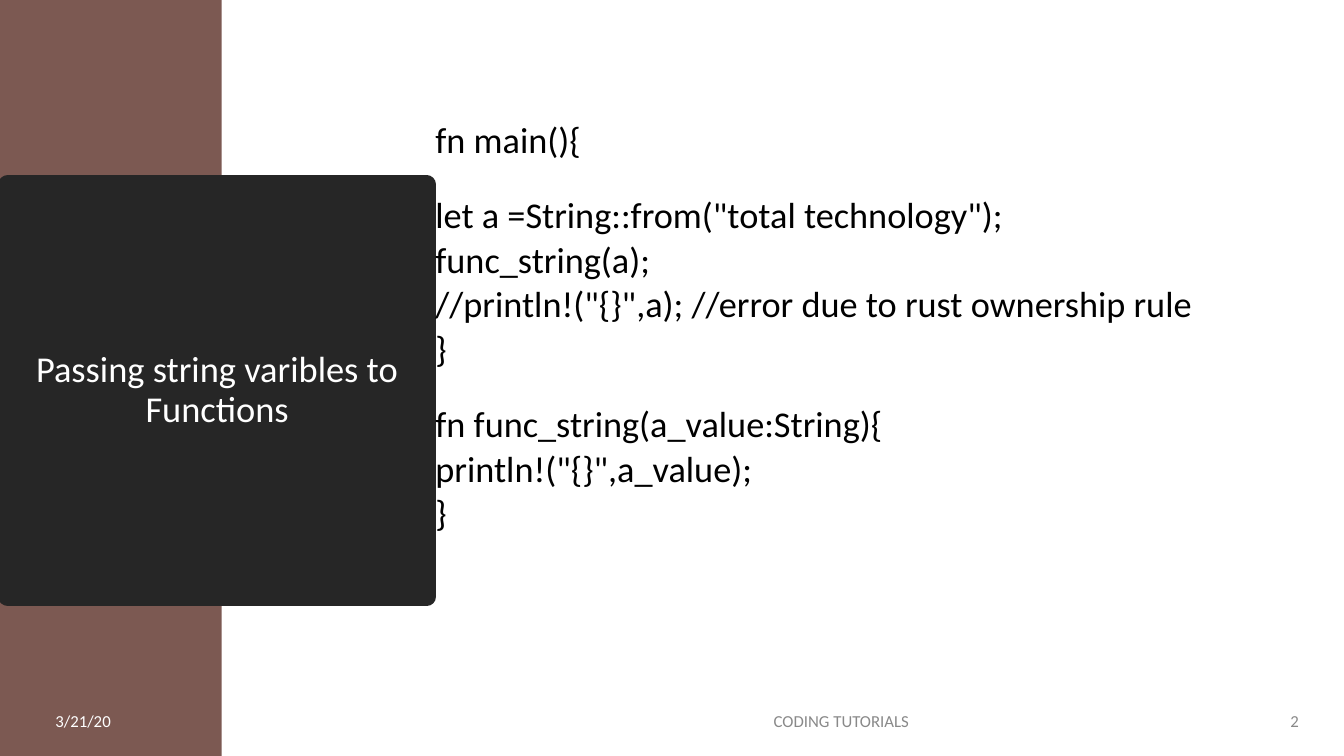
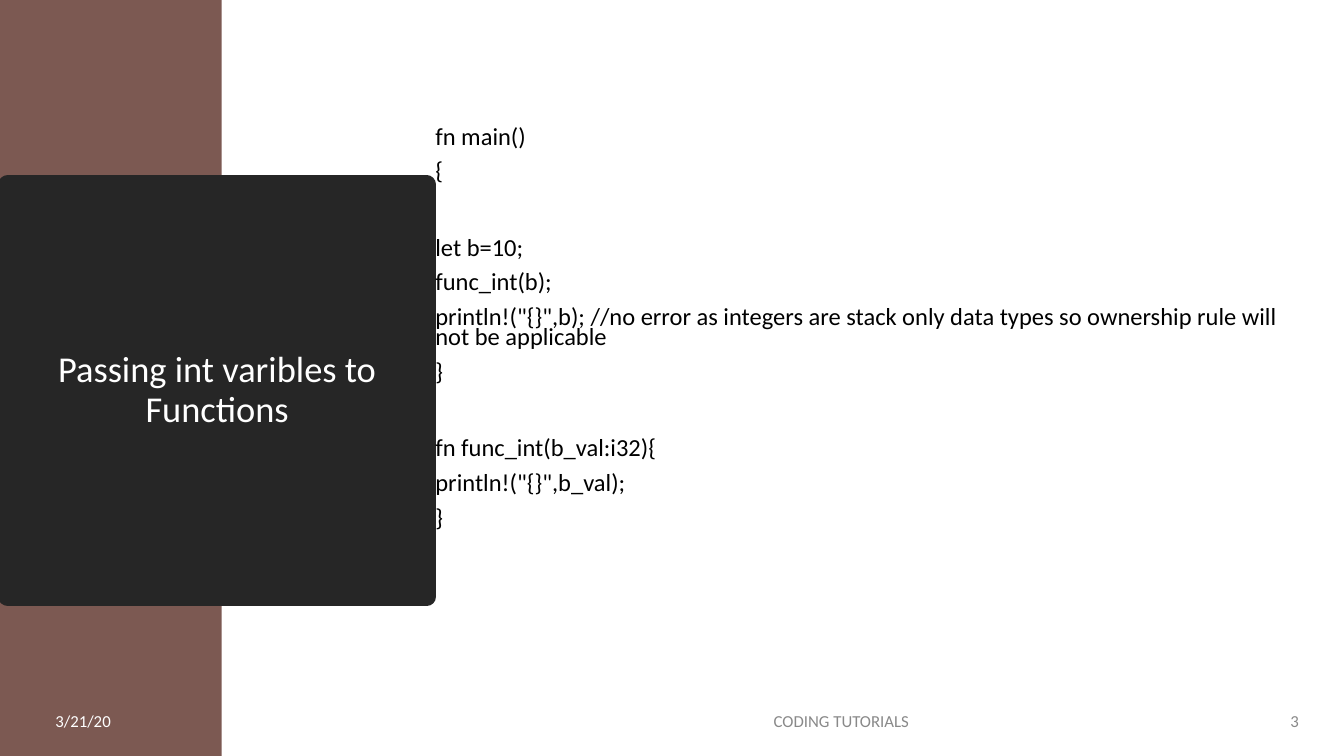
from pptx import Presentation
from pptx.dml.color import RGBColor
from pptx.enum.shapes import MSO_SHAPE
from pptx.enum.text import MSO_ANCHOR, MSO_AUTO_SIZE, PP_ALIGN
from pptx.util import Inches, Pt

BROWN = RGBColor(0x7C, 0x59, 0x52)
CHARCOAL = RGBColor(0x26, 0x26, 0x26)
WHITE = RGBColor(0xFF, 0xFF, 0xFF)
BLACK = RGBColor(0x00, 0x00, 0x00)
GREY = RGBColor(0x89, 0x89, 0x89)

CODE_SPACING = 0.7
CODE_GAP = 10
LINE_HEIGHT = 1.22

LESSONS = [
    {
        "number": "2",
        "title": "Passing string varibles to Functions",
        "size": 25.9,
        "skipped_lines": 1,
        "code": [
            ["fn main(){"],
            [
                'let a =String::from("total technology");',
                "func_string(a);",
                '//println!("{}",a); //error due to rust ownership rule',
                "}",
            ],
            ["fn func_string(a_value:String){", 'println!("{}",a_value);', "}"],
        ],
    },
    {
        "number": "3",
        "title": "Passing int varibles to Functions",
        "size": 17.5,
        "skipped_lines": 2,
        "code": [
            ["fn main()", "{"],
            [
                "let b=10;",
                "func_int(b);",
                'println!("{}",b); //no error as integers are stack only data types '
                "so ownership rule will not be applicable",
                "}",
            ],
            ["fn func_int(b_val:i32){", 'println!("{}",b_val);', "}"],
        ],
    },
]


class LessonDeck:
    font_name = "Calibri"

    def __init__(self):
        self.presentation = Presentation()
        self.presentation.slide_width = Inches(13.33)
        self.presentation.slide_height = Inches(7.5)
        self.slide = None

    def add_slide(self):
        layout = self.presentation.slide_layouts[5]
        self.slide = self.presentation.slides.add_slide(layout)

    def style(self, paragraph, size, color, align=PP_ALIGN.LEFT):
        paragraph.alignment = align
        paragraph.font.name = self.font_name
        paragraph.font.size = Pt(size)
        paragraph.font.color.rgb = color

    def add_band(self):
        band = self.slide.shapes.add_shape(
            MSO_SHAPE.RECTANGLE, 0, 0, Inches(2.2), Inches(7.5)
        )
        band.shadow.inherit = False
        band.fill.solid()
        band.fill.fore_color.rgb = BROWN
        band.line.fill.background()
        self.slide.shapes.title.element.addprevious(band.element)

    def add_title(self, text):
        title = self.slide.shapes.title
        title.left, title.top = Inches(0.08), Inches(1.83)
        title.width, title.height = Inches(4.15), Inches(4.09)
        title.fill.solid()
        title.fill.fore_color.rgb = CHARCOAL
        title.line.color.rgb = CHARCOAL
        title.line.width = Pt(13.75)
        frame = title.text_frame
        frame.text = text
        frame.word_wrap = True
        frame.auto_size = MSO_AUTO_SIZE.NONE
        frame.vertical_anchor = MSO_ANCHOR.MIDDLE
        heading = frame.paragraphs[0]
        heading.line_spacing = 0.9
        self.style(heading, 26, WHITE, PP_ALIGN.CENTER)

    def add_text_frame(self, left, top, width, height, anchor):
        box = self.slide.shapes.add_textbox(
            Inches(left), Inches(top), Inches(width), Inches(height)
        )
        frame = box.text_frame
        frame.word_wrap = True
        frame.vertical_anchor = anchor
        return frame

    def add_footer(self, number):
        for text, left, width, color, align in (
            ("3/21/20", 0.45, 1.62, WHITE, PP_ALIGN.LEFT),
            ("CODING TUTORIALS", 4.5, 7.69, GREY, PP_ALIGN.CENTER),
            (number, 12.37, 0.61, GREY, PP_ALIGN.RIGHT),
        ):
            frame = self.add_text_frame(left, 6.95, width, 0.4, MSO_ANCHOR.MIDDLE)
            frame.text = text
            entry = frame.paragraphs[0]
            entry.space_after = Pt(6)
            self.style(entry, 12, color, align)

    def add_code(self, groups, size, skipped_lines):
        frame = self.add_text_frame(4.22, 1.23, 8.76, 4.46, MSO_ANCHOR.TOP)
        frame.text = "\n".join(line for group in groups for line in group)
        group_gap = CODE_GAP + skipped_lines * size * LINE_HEIGHT * CODE_SPACING
        gaps = [
            CODE_GAP if position else group_gap
            for group in groups
            for position in range(len(group))
        ]
        gaps[0] = 0
        for statement, gap in zip(frame.paragraphs, gaps):
            statement.line_spacing = CODE_SPACING
            statement.space_before = Pt(gap)
            self.style(statement, size, BLACK)

    def add_lesson(self, lesson):
        self.add_slide()
        self.add_band()
        self.add_title(lesson["title"])
        self.add_footer(lesson["number"])
        self.add_code(lesson["code"], lesson["size"], lesson["skipped_lines"])


def main():
    deck = LessonDeck()
    for lesson in LESSONS:
        deck.add_lesson(lesson)
    deck.presentation.save("out.pptx")


if __name__ == "__main__":
    main()
